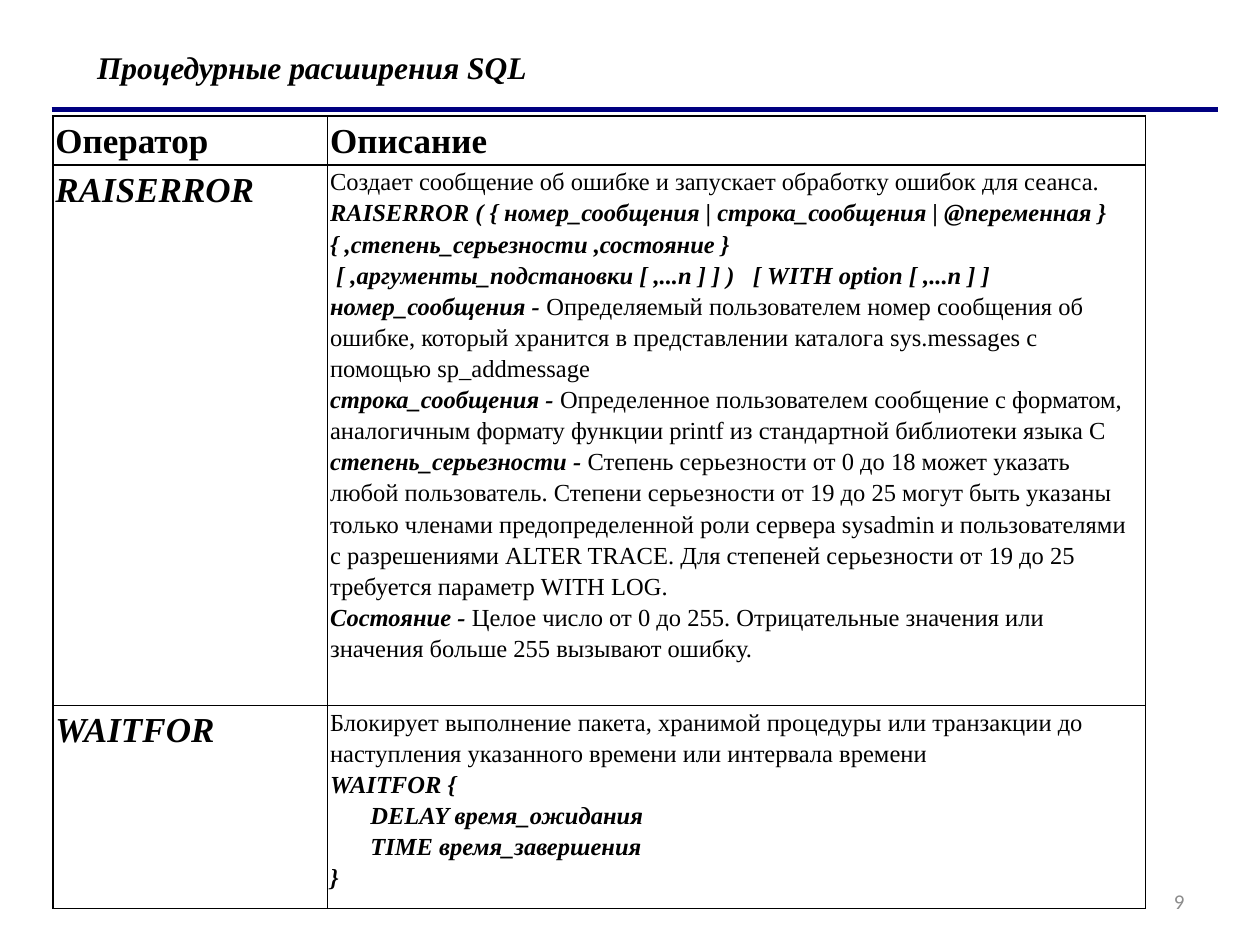
from dataclasses import dataclass

from lxml import etree
from pptx import Presentation
from pptx.dml.color import RGBColor
from pptx.enum import shapes, text
from pptx.oxml import ns
from pptx.util import Inches, Pt


@dataclass(frozen=True)
class Theme:
    ink: str = "000000"
    paper: str = "FFFFFF"
    navy: str = "000080"
    grey: str = "8C8C8C"
    serif: str = "Times New Roman"
    sans: str = "Calibri"
    title: int = 18
    head: int = 20
    body: int = 14
    small: int = 12


T = Theme()
BOLD = {"bold": True}
TERM = {"bold": True, "italic": True}

COLS = [2.18, 6.49]
ROWS = [0.39, 4.29, 1.61]

# Each paragraph is (bold italic part, plain part, first line indent)
RAISE = [
    ("", "Создает сообщение об ошибке и запускает обработку ошибок для сеанса.", 0),
    ("RAISERROR ( { номер_сообщения | строка_сообщения | @переменная } "
     "{ ,степень_серьезности ,состояние }", "", 0),
    (" [ ,аргументы_подстановки [ ,...n ] ] )   [ WITH option [ ,...n ] ]", "", 0),
    ("номер_сообщения - ",
     "Определяемый пользователем номер сообщения об ошибке, который хранится "
     "в представлении каталога sys.messages с помощью sp_addmessage", 0),
    ("строка_сообщения - ",
     "Определенное пользователем сообщение с форматом, аналогичным формату "
     "функции printf из стандартной библиотеки языка С", 0),
    ("степень_серьезности - ",
     "Степень серьезности от 0 до 18 может указать любой пользователь. Степени "
     "серьезности от 19 до 25 могут быть указаны только членами предопределенной "
     "роли сервера sysadmin и пользователями с разрешениями ALTER TRACE. Для "
     "степеней серьезности от 19 до 25 требуется параметр WITH LOG.", 0),
    ("Состояние - ",
     "Целое число от 0 до 255. Отрицательные значения или значения больше 255 "
     "вызывают ошибку.", 0),
]
WAIT = [
    ("", "Блокирует выполнение пакета, хранимой процедуры или транзакции до "
     "наступления указанного времени или интервала времени", 0),
    ("WAITFOR {", "", 0),
    ("DELAY время_ожидания", "", 0.32),
    ("TIME время_завершения", "", 0.32),
    ("}", "", 0),
]


def write(para, words, size=T.body, font=T.serif, color=T.ink, bold=False, italic=False):
    """Add one formatted run to a paragraph."""
    run = para.add_run()
    run.text = words
    face = run.font
    face.name, face.size = font, Pt(size)
    face.bold, face.italic = bold, italic
    face.color.rgb = RGBColor.from_string(color)


def add_title(slide, left, top, width, height):
    title = slide.shapes.title
    title.left, title.top, title.width, title.height = map(Inches, (left, top, width, height))
    frame = title.text_frame
    frame.vertical_anchor = text.MSO_ANCHOR.TOP
    frame.auto_size = text.MSO_AUTO_SIZE.NONE
    para = frame.paragraphs[0]
    para.alignment = text.PP_ALIGN.LEFT
    write(para, "Процедурные расширения SQL", size=T.title, **TERM)


def add_rule(slide, left, top, width):
    rule = slide.shapes.add_connector(
        shapes.MSO_CONNECTOR.STRAIGHT,
        Inches(left), Inches(top), Inches(left + width), Inches(top))
    rule.line.color.rgb = RGBColor.from_string(T.navy)
    rule.line.width = Pt(3)
    etree.SubElement(rule._element.spPr, ns.qn("a:effectLst"))


def frame_cell(cell):
    """Draw a thin border on all four sides."""
    props = cell._tc.get_or_add_tcPr()
    for side in ("lnL", "lnR", "lnT", "lnB"):
        line = etree.SubElement(props, ns.qn("a:" + side), w=str(Pt(1)))
        fill = etree.SubElement(line, ns.qn("a:solidFill"))
        etree.SubElement(fill, ns.qn("a:srgbClr"), val=T.ink)


def fill_cell(cell, paras):
    """Each paragraph is a list of (words, format) runs and an indent."""
    frame_cell(cell)
    cell.fill.solid()
    cell.fill.fore_color.rgb = RGBColor.from_string(T.paper)
    cell.margin_left = cell.margin_right = Inches(0.02)
    cell.margin_top = cell.margin_bottom = 0
    frame = cell.text_frame
    for i, (runs, indent) in enumerate(paras):
        para = frame.add_paragraph() if i else frame.paragraphs[0]
        para.line_spacing = 1.15
        if indent:
            props = para._p.get_or_add_pPr()
            props.set("marL", "0")
            props.set("indent", str(Inches(indent)))
        for words, style in runs:
            write(para, words, **style)


def label(words, style):
    return [([(words, {"size": T.head, **style})], 0)]


def prose(paras):
    return [([(words, style) for words, style in ((term, TERM), (plain, {})) if words], indent)
            for term, plain, indent in paras]


def add_grid(slide, left, top, width, height):
    table = slide.shapes.add_table(
        len(ROWS), len(COLS), *map(Inches, (left, top, width, height))).table
    table.first_row = table.horz_banding = False
    for col, size in zip(table.columns, COLS):
        col.width = Inches(size)
    for row, size in zip(table.rows, ROWS):
        row.height = Inches(size)
    cells = [
        (label("Оператор", BOLD), label("Описание", BOLD)),
        (label("RAISERROR", TERM), prose(RAISE)),
        (label("WAITFOR", TERM), prose(WAIT)),
    ]
    for r, row in enumerate(cells):
        for c, paras in enumerate(row):
            fill_cell(table.cell(r, c), paras)


def add_number(slide, left, top, width, height):
    frame = slide.shapes.add_textbox(*map(Inches, (left, top, width, height))).text_frame
    frame.word_wrap = True
    frame.vertical_anchor = text.MSO_ANCHOR.MIDDLE
    para = frame.paragraphs[0]
    para.alignment = text.PP_ALIGN.RIGHT
    write(para, "9", size=T.small, font=T.sans, color=T.grey)


def main():
    deck = Presentation()
    deck.slide_width, deck.slide_height = Inches(10), Inches(7.5)
    slide = deck.slides.add_slide(deck.slide_layouts[5])  # title only
    add_number(slide, 7.17, 6.95, 2.33, 0.4)
    add_rule(slide, 0.41, 0.87, 9.26)
    add_title(slide, 0.67, 0.33, 7.42, 0.71)
    add_grid(slide, 0.42, 0.92, sum(COLS), sum(ROWS))
    deck.save("out.pptx")


if __name__ == "__main__":
    main()
